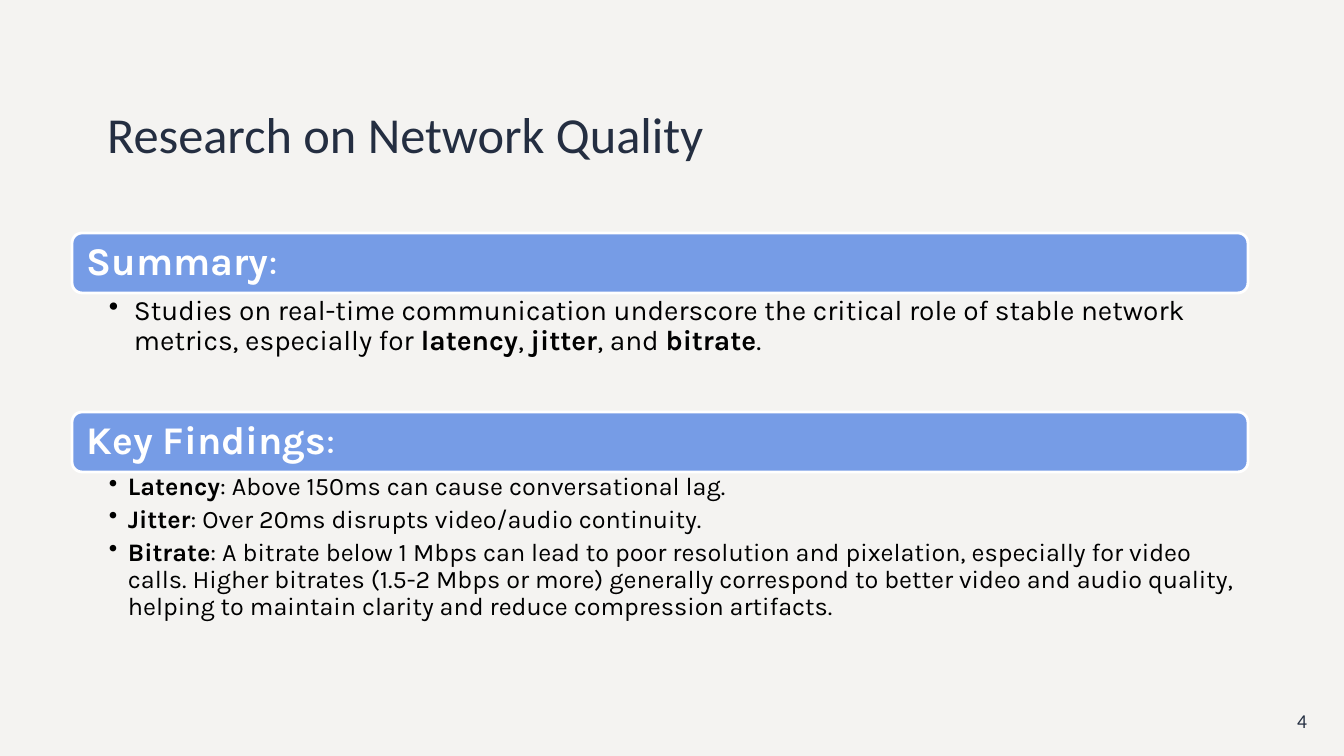
"""Build a slide on network quality research with two headed sections."""
from dataclasses import dataclass

from lxml import etree
from pptx import Presentation
from pptx import util as u
from pptx.dml.color import RGBColor
from pptx.enum import shapes, text
from pptx.oxml import ns

SCALE = 12192000 / 1344


def px(n: int) -> u.Emu:
    """Turn whole px into EMU."""
    return u.Emu(round(n * SCALE))


@dataclass(frozen=True)
class Theme:
    """Colours, fonts and type sizes."""
    back: str = "F4F3F1"
    ink: str = "242E41"
    bar: str = "769CE6"
    white: str = "FFFFFF"
    black: str = "000000"
    head: str = "Calibri"
    body: str = "Karla"
    title: int = 36
    label: int = 28
    page: int = 14


@dataclass(frozen=True)
class Section:
    """A heading bar with its bullets; ** switches bold."""
    label: str
    top: int
    start: int
    height: int
    size: int
    hang: int
    right: int
    points: tuple[str, ...]


LOOK = Theme()
LEFT, WIDE, BAR = 72, 1176, 60
SECTIONS = (
    Section("**Summary**:", 233, 293, 117, 20, 25, 16, (
        "Studies on real-time communication underscore the critical role of "
        "stable network metrics, especially for **latency**, **jitter**, "
        "and **bitrate**.",
    )),
    Section("**Key Findings**:", 412, 471, 157, 18, 19, 14, (
        "**Latency**: Above 150ms can cause conversational lag.",
        "**Jitter**: Over 20ms disrupts video/audio continuity.",
        "**Bitrate**: A bitrate below 1 Mbps can lead to poor resolution and "
        "pixelation, especially for video calls. Higher bitrates (1.5-2 Mbps "
        "or more) generally correspond to better video and audio quality, "
        "helping to maintain clarity and reduce compression artifacts.",
    )),
)


def style(para, face: str, size: int, tint: str) -> None:
    """Set the font of a paragraph."""
    font = para.font
    font.name, font.size = face, u.Pt(size)
    font.color.rgb = RGBColor.from_string(tint)


def write(para, words: str) -> None:
    """Add runs, bold between pairs of **."""
    for i, part in enumerate(words.split("**")):
        if part:
            run = para.add_run()
            run.text = part
            run.font.bold = i % 2 == 1


def inset(frame, left: int, top: int, right: int, low: int) -> None:
    """Set the margins of a wrapped text frame."""
    frame.word_wrap = True
    frame.margin_left, frame.margin_top = px(left), px(top)
    frame.margin_right, frame.margin_bottom = px(right), px(low)


def bullet(para, hang: int) -> None:
    """Give a paragraph a hanging bullet."""
    props = para._p.get_or_add_pPr()
    props.set("marL", str(px(hang)))
    props.set("indent", str(-px(hang)))
    etree.SubElement(props, ns.qn("a:buChar")).set("char", "•")


def draw_bar(slide, part: Section) -> None:
    """Draw the heading bar of a section."""
    bar = slide.shapes.add_shape(
        shapes.MSO_SHAPE.ROUNDED_RECTANGLE,
        px(LEFT), px(part.top), px(WIDE), px(BAR))
    bar.shadow.inherit = False
    bar.fill.solid()
    bar.fill.fore_color.rgb = RGBColor.from_string(LOOK.bar)
    bar.line.color.rgb = RGBColor.from_string(LOOK.white)
    bar.line.width = u.Pt(2)
    frame = bar.text_frame
    inset(frame, 12, 12, 12, 12)
    frame.vertical_anchor = text.MSO_ANCHOR.MIDDLE
    para = frame.paragraphs[0]
    para.alignment, para.line_spacing = text.PP_ALIGN.LEFT, 0.9
    write(para, part.label)
    style(para, LOOK.body, LOOK.label, LOOK.white)


def draw_list(slide, part: Section) -> None:
    """Draw the bullets of a section."""
    box = slide.shapes.add_textbox(
        px(LEFT), px(part.start), px(WIDE), px(part.height))
    frame = box.text_frame
    inset(frame, 37, 3, part.right, 3)
    for i, words in enumerate(part.points):
        para = frame.add_paragraph() if i else frame.paragraphs[0]
        para.line_spacing, para.space_after = 0.9, u.Pt(4)
        bullet(para, part.hang)
        write(para, words)
        style(para, LOOK.body, part.size, LOOK.black)


def draw_title(slide, words: str) -> None:
    """Place and format the title."""
    title = slide.shapes.title
    title.left, title.top = px(97), px(30)
    title.width, title.height = px(1152), px(139)
    frame = title.text_frame
    frame.text = words
    frame.vertical_anchor = text.MSO_ANCHOR.BOTTOM
    para = frame.paragraphs[0]
    para.alignment = text.PP_ALIGN.LEFT
    style(para, LOOK.head, LOOK.title, LOOK.ink)


def draw_page(slide, words: str) -> None:
    """Draw the page number."""
    box = slide.shapes.add_textbox(px(1260), px(701), px(57), px(40))
    frame = box.text_frame
    frame.word_wrap = True
    frame.vertical_anchor = text.MSO_ANCHOR.MIDDLE
    para = frame.paragraphs[0]
    para.text, para.alignment = words, text.PP_ALIGN.RIGHT
    style(para, LOOK.head, LOOK.page, LOOK.ink)


def main() -> None:
    """Build and save the slide."""
    deck = Presentation()
    deck.slide_width, deck.slide_height = px(1344), px(756)
    slide = deck.slides.add_slide(deck.slide_layouts[5])
    fill = slide.background.fill
    fill.solid()
    fill.fore_color.rgb = RGBColor.from_string(LOOK.back)
    draw_title(slide, "Research on Network Quality")
    for part in SECTIONS:
        draw_bar(slide, part)
        draw_list(slide, part)
    draw_page(slide, "4")
    deck.save("out.pptx")


if __name__ == "__main__":
    main()
